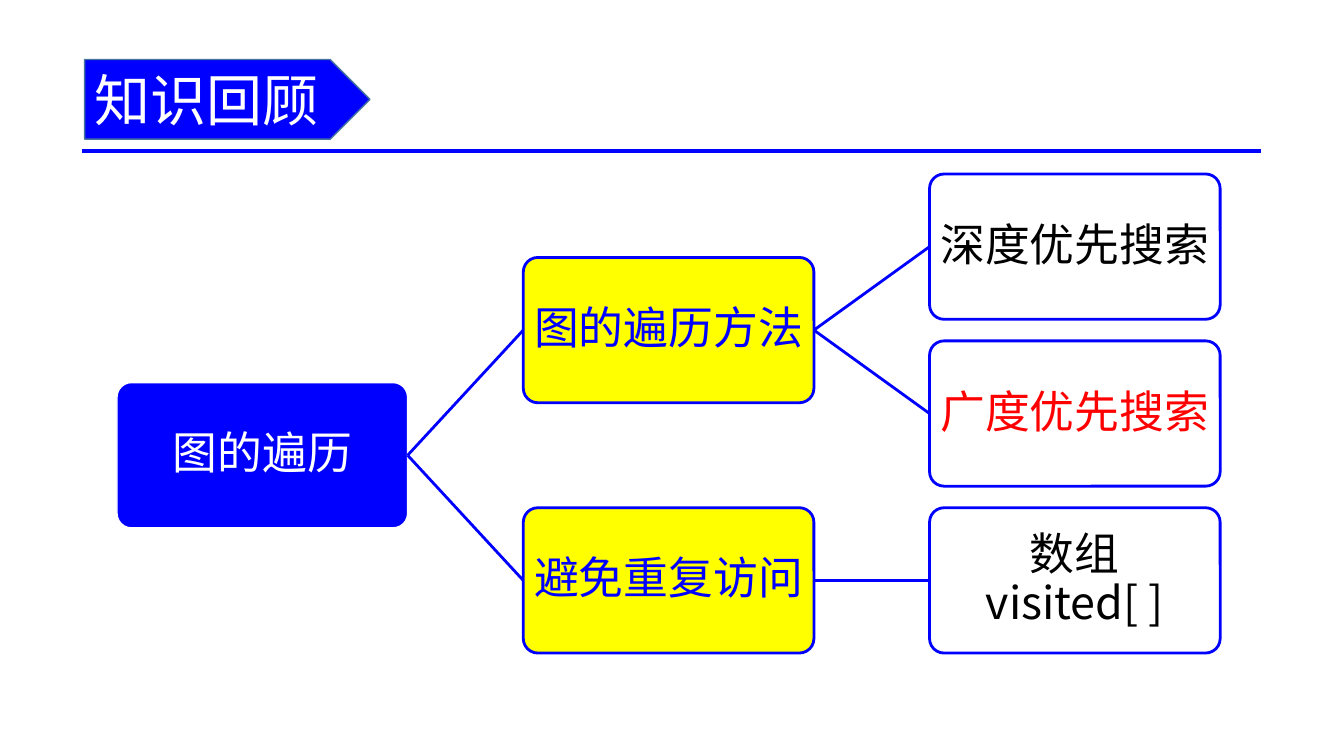
from dataclasses import dataclass
from typing import Any

from lxml.etree import SubElement
from pptx import Presentation
from pptx.dml.color import RGBColor
from pptx.enum.shapes import MSO_CONNECTOR, MSO_SHAPE
from pptx.enum.text import MSO_ANCHOR, PP_ALIGN
from pptx.oxml.ns import qn
from pptx.shapes.autoshape import Shape
from pptx.slide import Slide
from pptx.util import Pt


@dataclass(frozen=True)
class Theme:
    font: str = "Noto Sans CJK SC"
    blue: str = "0000FF"
    yellow: str = "FFFF00"
    white: str = "FFFFFF"
    black: str = "000000"
    red: str = "FF0000"
    title_outline: str = "43739E"
    title_size: float = 40
    node_size: float = 32


@dataclass(frozen=True)
class Box:
    left: float
    top: float
    width: float
    height: float

    @property
    def middle(self) -> float:
        return self.top + self.height / 2


@dataclass(frozen=True)
class Style:
    fill: str
    outline: str
    outline_width: float
    text_color: str
    text_size: float


@dataclass(frozen=True)
class Node:
    text: str
    style: Style
    level: int
    row: float
    children: tuple["Node", ...] = ()

    @property
    def box(self) -> Box:
        return Box(TREE_LEFT + self.level * LEVEL_STEP, TREE_TOP + self.row * ROW_STEP,
                   NODE_WIDTH, NODE_HEIGHT)


THEME = Theme()
SLIDE_WIDTH, SLIDE_HEIGHT = 960, 540
TREE_LEFT, TREE_TOP = 83.6, 124.3
LEVEL_STEP, ROW_STEP = 290.2, 119.2
NODE_WIDTH, NODE_HEIGHT = 207.6, 103.8
NODE_CORNER = 0.1
RULE_Y = 108

TITLE_FRAME = {"vertical_anchor": MSO_ANCHOR.MIDDLE, "word_wrap": True}
TITLE_PARAGRAPH = {"alignment": PP_ALIGN.LEFT}
NODE_FRAME = TITLE_FRAME | {
    f"margin_{side}": Pt(1.6) for side in ("left", "top", "right", "bottom")
}
NODE_PARAGRAPH = {"alignment": PP_ALIGN.CENTER, "line_spacing": 0.9}

TITLE_STYLE = Style(THEME.blue, THEME.title_outline, 1, THEME.white, THEME.title_size)
ROOT = Style(THEME.blue, THEME.white, 1, THEME.white, THEME.node_size)
BRANCH = Style(THEME.yellow, THEME.blue, 2, THEME.blue, THEME.node_size)
LEAF = Style(THEME.white, THEME.blue, 2, THEME.black, THEME.node_size)
KEY_LEAF = Style(THEME.white, THEME.blue, 2, THEME.red, THEME.node_size)


def parent(text: str, style: Style, level: int, *children: Node) -> Node:
    """Make a node centred vertically on its children."""
    row = sum(child.row for child in children) / len(children)
    return Node(text, style, level, row, children)


TREE = parent(
    "图的遍历", ROOT, 0,
    parent("图的遍历方法", BRANCH, 1,
           Node("深度优先搜索", LEAF, 2, 0),
           Node("广度优先搜索", KEY_LEAF, 2, 1)),
    parent("避免重复访问", BRANCH, 1,
           Node("数组\vvisited[ ]", LEAF, 2, 2)),
)


def apply_format(target: Any, values: dict[str, Any]) -> None:
    for name, value in values.items():
        setattr(target, name, value)


def add_label(slide: Slide, kind: MSO_SHAPE, box: Box, text: str, style: Style,
              frame_format: dict[str, Any], paragraph_format: dict[str, Any]) -> Shape:
    shape = slide.shapes.add_shape(kind, Pt(box.left), Pt(box.top),
                                   Pt(box.width), Pt(box.height))
    shape.shadow.inherit = False
    shape.fill.solid()
    shape.fill.fore_color.rgb = RGBColor.from_string(style.fill)
    shape.line.color.rgb = RGBColor.from_string(style.outline)
    shape.line.width = Pt(style.outline_width)

    apply_format(shape.text_frame, frame_format)
    paragraph = shape.text_frame.paragraphs[0]
    paragraph.text = text
    apply_format(paragraph, paragraph_format)
    for run in paragraph.runs:
        apply_format(run.font, {"name": THEME.font, "size": Pt(style.text_size)})
        run.font.color.rgb = RGBColor.from_string(style.text_color)
        east_asian = SubElement(run.font._element, qn("a:ea"))
        east_asian.set("typeface", THEME.font)
    return shape


def add_line(slide: Slide, start: tuple[float, float], end: tuple[float, float],
             width: float) -> None:
    connector = slide.shapes.add_connector(
        MSO_CONNECTOR.STRAIGHT, *(Pt(length) for length in (*start, *end)))
    connector.line.color.rgb = RGBColor.from_string(THEME.blue)
    connector.line.width = Pt(width)
    SubElement(connector._element.spPr, qn("a:effectLst"))


def draw_tree(slide: Slide, node: Node) -> None:
    """Draw a node, then each child with the line that leads to it."""
    box = node.box
    shape = add_label(slide, MSO_SHAPE.ROUNDED_RECTANGLE, box, node.text, node.style,
                      NODE_FRAME, NODE_PARAGRAPH)
    shape.adjustments[0] = NODE_CORNER
    for child in node.children:
        add_line(slide, (box.left + box.width, box.middle),
                 (child.box.left, child.box.middle), 2)
        draw_tree(slide, child)


def main() -> None:
    presentation = Presentation()
    apply_format(presentation, {"slide_width": Pt(SLIDE_WIDTH),
                                "slide_height": Pt(SLIDE_HEIGHT)})
    slide = presentation.slides.add_slide(presentation.slide_layouts[6])
    add_line(slide, (58.3, RULE_Y), (900.7, RULE_Y), 3)
    add_label(slide, MSO_SHAPE.PENTAGON, Box(60.5, 42.5, 203.8, 56.9), "知识回顾",
              TITLE_STYLE, TITLE_FRAME, TITLE_PARAGRAPH)
    draw_tree(slide, TREE)
    presentation.save("out.pptx")


if __name__ == "__main__":
    main()
